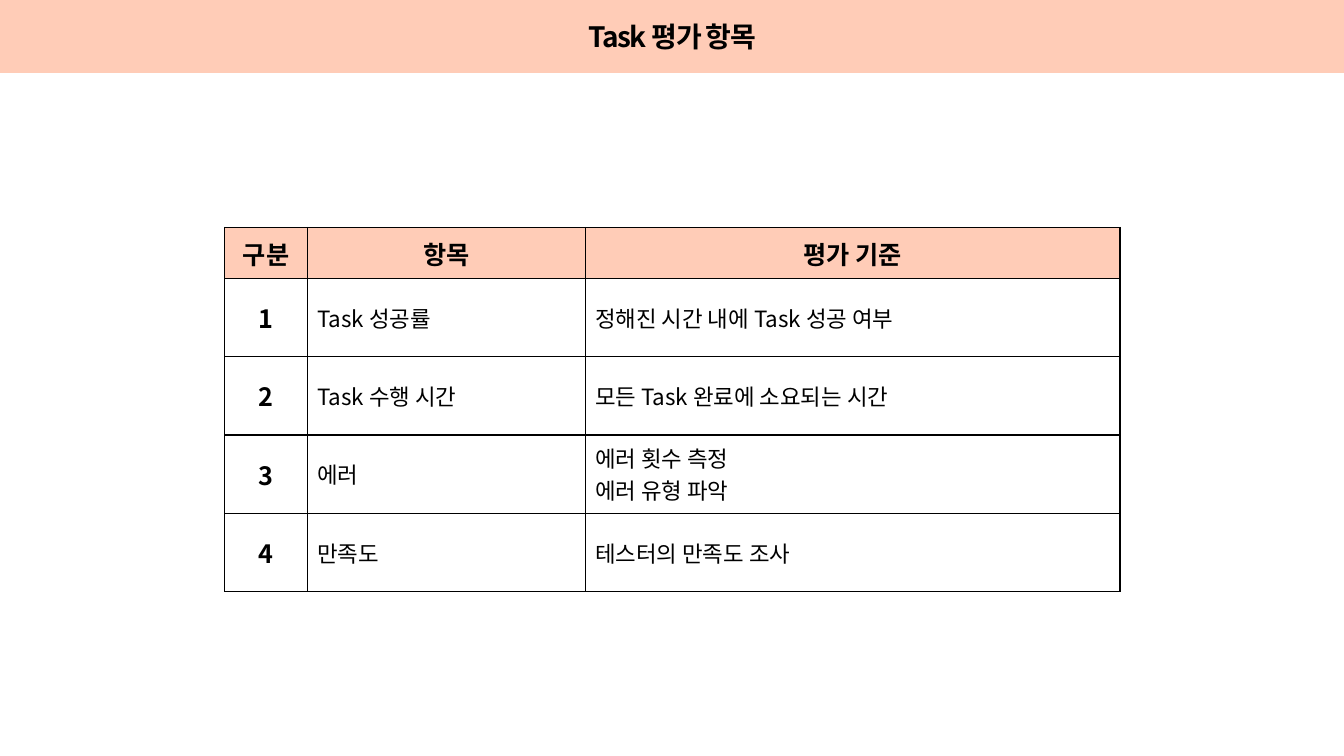
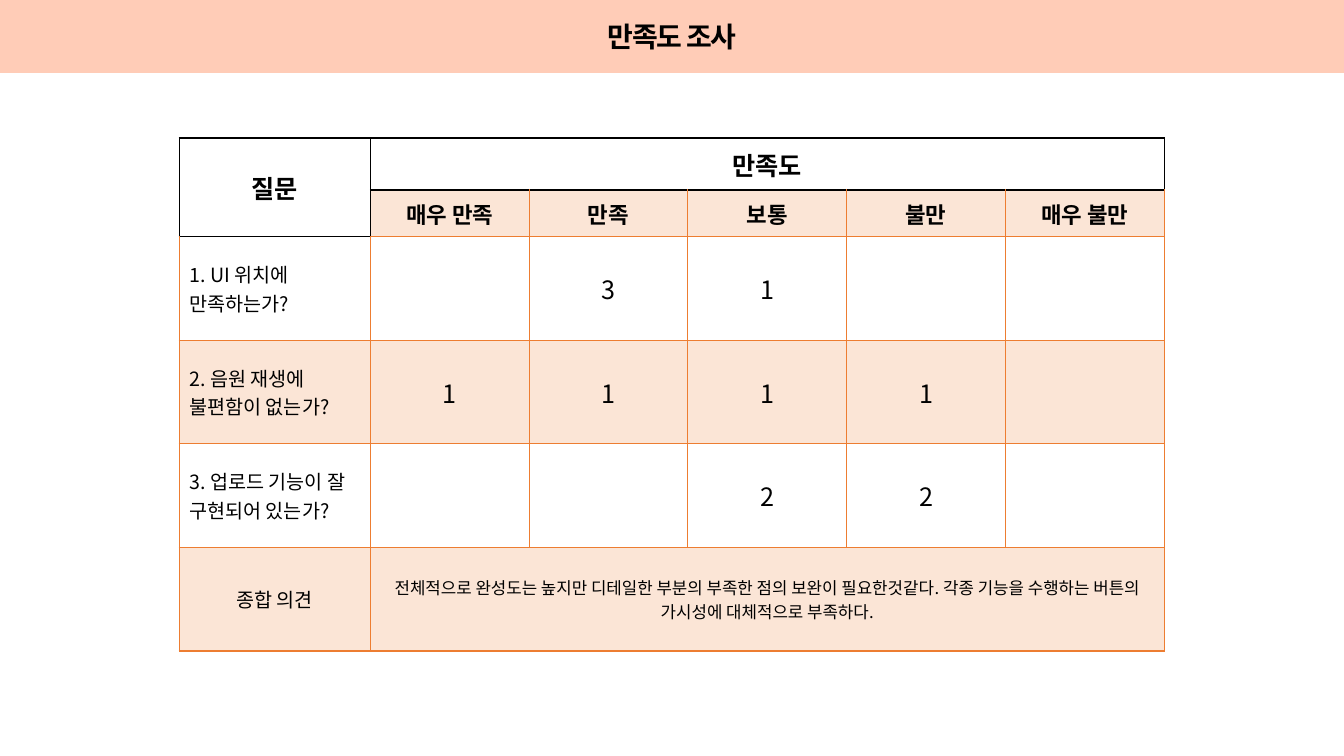
from lxml.etree import SubElement
from pptx import Presentation
from pptx.dml.color import RGBColor
from pptx.enum.shapes import MSO_SHAPE
from pptx.enum.text import MSO_ANCHOR, PP_ALIGN
from pptx.oxml.ns import qn
from pptx.util import Pt

FONT = "Noto Sans CJK KR"
BLACK = RGBColor(0x00, 0x00, 0x00)
WHITE = RGBColor(0xFF, 0xFF, 0xFF)
PEACH = RGBColor(0xFF, 0xCC, 0xB7)
ORANGE = RGBColor(0xED, 0x7D, 0x31)
TINT = RGBColor(0xFB, 0xE5, 0xD6)

NEIGHBOURS = {"a:lnL": (0, -1), "a:lnR": (0, 1), "a:lnT": (-1, 0), "a:lnB": (1, 0)}


def write(frame, text, size=16, bold=False, align=PP_ALIGN.CENTER, spacing=0):
    for index, line in enumerate(text.split("\n")):
        paragraph = frame.add_paragraph() if index else frame.paragraphs[0]
        paragraph.alignment = align
        run = paragraph.add_run()
        run.text = line
        run.font.size = Pt(size)
        run.font.bold = bold
        run.font.name = FONT
        run.font.color.rgb = BLACK
        properties = run.font._element
        SubElement(properties, qn("a:ea")).set("typeface", FONT)
        if spacing:
            properties.set("spc", str(int(spacing * 100)))


def draw_border(cell, edge, color):
    line = SubElement(cell._tc.get_or_add_tcPr(), qn(edge), w=str(Pt(1)))
    fill = SubElement(line, qn("a:solidFill"))
    SubElement(fill, qn("a:srgbClr"), val=str(color))


class Deck:
    def __init__(self):
        self.presentation = Presentation()
        self.presentation.slide_width = Pt(960)
        self.presentation.slide_height = Pt(540)
        self.slide = None

    def add_slide(self, title):
        self.slide = self.presentation.slides.add_slide(self.presentation.slide_layouts[6])
        self.add_title_band(title)

    def add_title_band(self, title):
        band = self.slide.shapes.add_shape(MSO_SHAPE.RECTANGLE, 0, 0, Pt(960), Pt(52))
        band.shadow.inherit = False
        band.fill.solid()
        band.fill.fore_color.rgb = PEACH
        band.line.color.rgb = PEACH
        band.line.width = Pt(1)
        band.text_frame.vertical_anchor = MSO_ANCHOR.MIDDLE
        write(band.text_frame, title, size=20, bold=True, spacing=-1)

    def add_table(self, left, top, widths, heights, content, style, fill, border, black_cells=(), merges=()):
        table = self.slide.shapes.add_table(
            len(heights), len(widths), Pt(left), Pt(top), Pt(sum(widths)), Pt(sum(heights))
        ).table
        table.first_row = table.horz_banding = False
        for column, width in zip(table.columns, widths):
            column.width = Pt(width)
        for row, height in zip(table.rows, heights):
            row.height = Pt(height)
        for r, texts in enumerate(content):
            for c, text in enumerate(texts):
                cell = table.cell(r, c)
                cell.vertical_anchor = MSO_ANCHOR.MIDDLE
                for edge, (down, right) in NEIGHBOURS.items():
                    is_black = (r, c) in black_cells or (r + down, c + right) in black_cells
                    draw_border(cell, edge, BLACK if is_black else border)
                cell.fill.solid()
                cell.fill.fore_color.rgb = fill(r, c)
                if text:
                    write(cell.text_frame, text, **style(r, c))
        for first, last in merges:
            table.cell(*first).merge(table.cell(*last))


def criteria_style(r, c):
    if r == 0 or c == 0:
        return {"size": 18, "bold": True}
    return {"size": 16, "align": PP_ALIGN.LEFT}


def survey_style(r, c):
    if r < 2:
        return {"size": 16 if r else 18, "bold": True}
    if r == 5:
        return {"size": 12 if c else 14}
    return {"size": 18} if c else {"size": 14, "align": PP_ALIGN.LEFT}


CRITERIA = [
    ("구분", "항목", "평가 기준"),
    ("1", "Task 성공률", "정해진 시간 내에 Task 성공 여부"),
    ("2", "Task 수행 시간", "모든 Task 완료에 소요되는 시간"),
    ("3", "에러", "에러 횟수 측정\n에러 유형 파악"),
    ("4", "만족도", "테스터의 만족도 조사"),
]

OPINION = (
    "전체적으로 완성도는 높지만 디테일한 부분의 부족한 점의 보완이 필요한것같다. "
    "각종 기능을 수행하는 버튼의 가시성에 대체적으로 부족하다."
)
SURVEY = [
    ("질문", "만족도", "", "", "", ""),
    ("", "매우 만족", "만족", "보통", "불만", "매우 불만"),
    ("1. UI 위치에 만족하는가?", "", "3", "1", "", ""),
    ("2. 음원 재생에 불편함이 없는가?", "1", "1", "1", "1", ""),
    ("3. 업로드 기능이 잘 구현되어 있는가?", "", "", "2", "2", ""),
    ("종합 의견", OPINION, "", "", "", ""),
]


def main():
    deck = Deck()

    deck.add_slide("Task 평가 항목")
    deck.add_table(
        160.5, 162.5, [59, 198.5, 382], [36.4] + [55.9] * 4, CRITERIA, criteria_style,
        fill=lambda r, c: WHITE if r else PEACH, border=BLACK,
    )

    deck.add_slide("만족도 조사")
    deck.add_table(
        128, 98.6, [136.6] + [113.4] * 5, [37.2, 29.5] + [74] * 4, SURVEY, survey_style,
        fill=lambda r, c: TINT if r % 2 and (r, c) != (1, 0) else WHITE, border=ORANGE,
        black_cells={(0, c) for c in range(6)} | {(1, 0)},
        merges=[((0, 0), (1, 0)), ((0, 1), (0, 5)), ((5, 1), (5, 5))],
    )

    deck.presentation.save("out.pptx")


if __name__ == "__main__":
    main()
